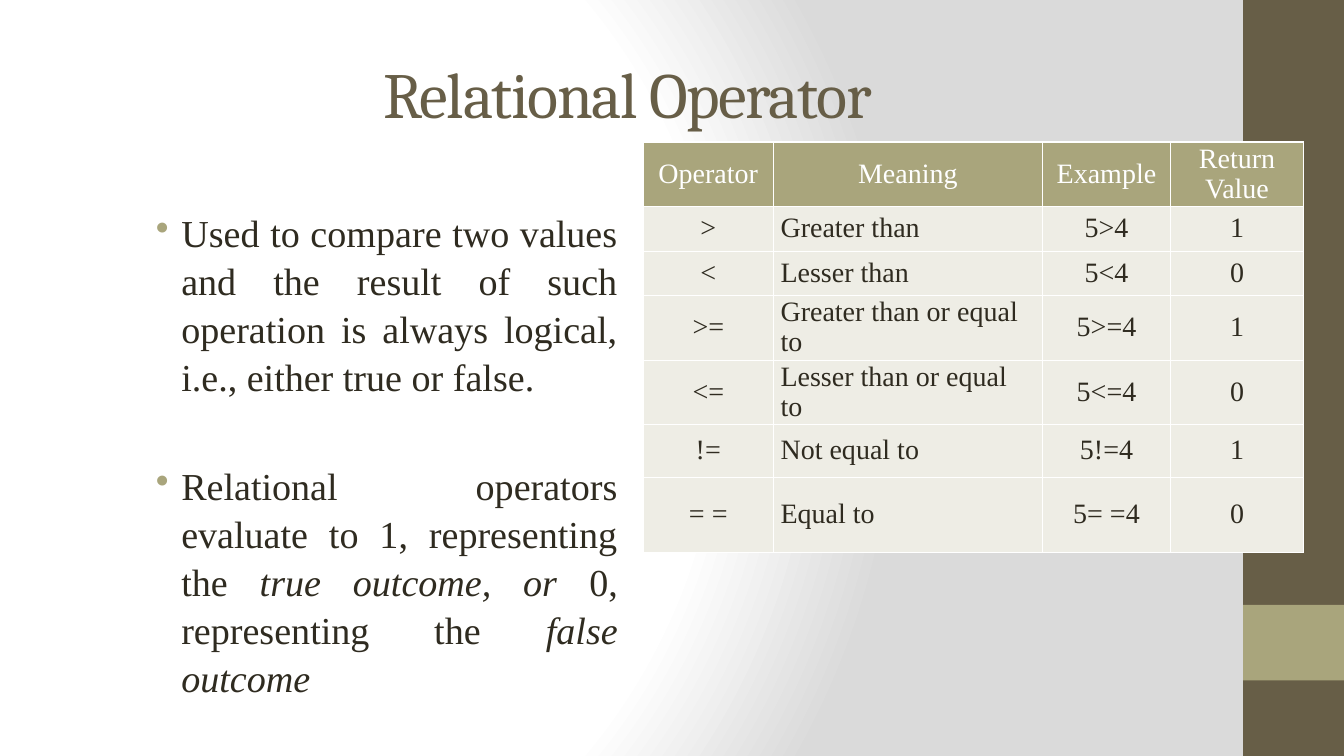
from lxml import etree
from pptx import Presentation
from pptx.dml.color import RGBColor
from pptx.enum.shapes import MSO_SHAPE
from pptx.enum.text import MSO_ANCHOR, PP_ALIGN
from pptx.oxml.ns import qn
from pptx.util import Cm, Pt

RECTANGLE = MSO_SHAPE.RECTANGLE
MIDDLE = MSO_ANCHOR.MIDDLE
LEFT, CENTER, JUSTIFY = PP_ALIGN.LEFT, PP_ALIGN.CENTER, PP_ALIGN.JUSTIFY

COLORS = {
    "brown": "675E47",
    "olive": "A9A57C",
    "ink": "2F2B20",
    "pale": "EEEDE5",
    "white": "FFFFFF",
    "gray": "DADADA",
}
HEADING_FONT, BODY_FONT = "Cambria", "Times New Roman"
SLIDE_WIDTH, SLIDE_HEIGHT = Cm(33.87), Cm(19.05)

POINTS = [
    [("Used to compare two values and the result of such operation is always "
      "logical, i.e., either true or false. ", False)],
    [("Relational operators evaluate to 1, representing the ", False),
     ("true outcome, or ", True),
     ("0, representing the ", False),
     ("false outcome", True)],
]
OPERATORS = [
    ("Operator", "Meaning", "Example", "Return Value"),
    (">", "Greater than", "5>4", "1"),
    ("<", "Lesser than", "5<4", "0"),
    (">=", "Greater than or equal to", "5>=4", "1"),
    ("<=", "Lesser than or equal to", "5<=4", "0"),
    ("!=", "Not equal to", "5!=4", "1"),
    ("= =", "Equal to", "5= =4", "0"),
]
COLUMN_WIDTHS = [3.28, 6.78, 3.23, 3.35]
ROW_HEIGHTS = [1.63, 1.12, 1.12, 1.42, 1.42, 1.32, 1.9]


def rgb(color):
    """Return the named colour."""
    return RGBColor.from_string(COLORS[color])


def child(parent, tag, **attributes):
    """Append a drawing element to its parent."""
    return etree.SubElement(parent, qn(tag), attributes)


def write(paragraph, text, size, color="ink", font=BODY_FONT, italic=False, spacing=None):
    """Add formatted text to a paragraph."""
    run = paragraph.add_run()
    run.text = text
    run.font.size = Pt(size)
    run.font.name = font
    run.font.italic = italic
    run.font.color.rgb = rgb(color)
    if spacing is not None:
        run.font._element.set("spc", str(round(spacing * 100)))


def paint_background(slide):
    """Fill the background with a circular fade from white to gray."""
    slide.background.fill.gradient()
    gradient = slide.element.find(".//" + qn("a:gradFill"))
    for part in list(gradient):
        gradient.remove(part)
    stops = child(gradient, "a:gsLst")
    for position, color in ((0, "white"), (75, "white"), (100, "gray")):
        stop = child(stops, "a:gs", pos=str(position * 1000))
        child(stop, "a:srgbClr", val=COLORS[color])
    circle = child(gradient, "a:path", path="circle")
    child(circle, "a:fillToRect", l="20000", t="50000", r="100000", b="50000")


def add_side_band(slide, left, top, width, height):
    """Draw the brown band with its olive block at four fifths of the height."""
    for color, start, share in (("brown", 0, 1), ("olive", 0.8, 0.1)):
        block = slide.shapes.add_shape(
            RECTANGLE, left, top + round(height * start), width, round(height * share))
        block.shadow.inherit = False
        block.fill.solid()
        block.fill.fore_color.rgb = rgb(color)
        block.line.fill.background()


def add_title(slide, left, top, width, height):
    """Place the centred heading."""
    frame = slide.shapes.add_textbox(left, top, width, height).text_frame
    frame.word_wrap = True
    frame.vertical_anchor = MIDDLE
    heading = frame.paragraphs[0]
    heading.alignment = CENTER
    write(heading, "Relational Operator", 46, color="brown", font=HEADING_FONT, spacing=-1)


def add_points(slide, left, top, width, height):
    """Place the justified bullet points."""
    frame = slide.shapes.add_textbox(left, top, width, height).text_frame
    frame.word_wrap = True
    for index, phrases in enumerate(POINTS):
        point = frame.add_paragraph() if index else frame.paragraphs[0]
        properties = point._p.get_or_add_pPr()
        properties.set("marL", str(Cm(0.97)))
        properties.set("indent", str(Cm(-0.64)))
        child(child(properties, "a:buClr"), "a:srgbClr", val=COLORS["olive"])
        child(properties, "a:buChar", char="•")
        point.alignment = JUSTIFY
        point.line_spacing = 1.05
        if index:
            point.space_before = Pt(43.5)
        for text, italic in phrases:
            write(point, text, 27.2, italic=italic)


def style_cell(cell, fill):
    """Give a cell its margins, white borders and fill."""
    cell.vertical_anchor = MIDDLE
    cell.margin_left = cell.margin_right = Cm(0.18)
    cell.margin_top = cell.margin_bottom = 0
    properties = cell._tc.get_or_add_tcPr()
    for side in "LRTB":
        border = child(properties, f"a:ln{side}", w=str(Pt(1)))
        child(child(border, "a:solidFill"), "a:srgbClr", val=COLORS["white"])
    cell.fill.solid()
    cell.fill.fore_color.rgb = rgb(fill)


def add_operator_table(slide, left, top, width, height):
    """Place the table of operators, meanings, examples and results."""
    table = slide.shapes.add_table(
        len(OPERATORS), len(COLUMN_WIDTHS), left, top, width, height).table
    for column, column_width in zip(table.columns, COLUMN_WIDTHS):
        column.width = Cm(column_width)
    for row, row_height in zip(table.rows, ROW_HEIGHTS):
        row.height = Cm(row_height)
    for row_index, entries in enumerate(OPERATORS):
        is_header = row_index == 0
        for column_index, entry in enumerate(entries):
            cell = table.cell(row_index, column_index)
            style_cell(cell, "olive" if is_header else "pale")
            paragraph = cell.text_frame.paragraphs[0]
            is_meaning = column_index == 1 and not is_header
            paragraph.alignment = LEFT if is_meaning else CENTER
            paragraph.line_spacing = 0.96
            write(paragraph, entry, 20, color="white" if is_header else "ink")


def main():
    """Build and save the slide."""
    presentation = Presentation()
    presentation.slide_width, presentation.slide_height = SLIDE_WIDTH, SLIDE_HEIGHT
    slide = presentation.slides.add_slide(presentation.slide_layouts[6])
    paint_background(slide)
    band_width = Cm(2.54)
    add_side_band(slide, SLIDE_WIDTH - band_width, 0, band_width, SLIDE_HEIGHT)
    add_title(slide, Cm(1.7), Cm(0.76), Cm(28.22), Cm(3.18))
    add_points(slide, Cm(3.35), Cm(5.1), Cm(12.47), Cm(12.1))
    add_operator_table(slide, Cm(16.21), Cm(3.58), Cm(sum(COLUMN_WIDTHS)), Cm(sum(ROW_HEIGHTS)))
    presentation.save("out.pptx")


if __name__ == "__main__":
    main()
